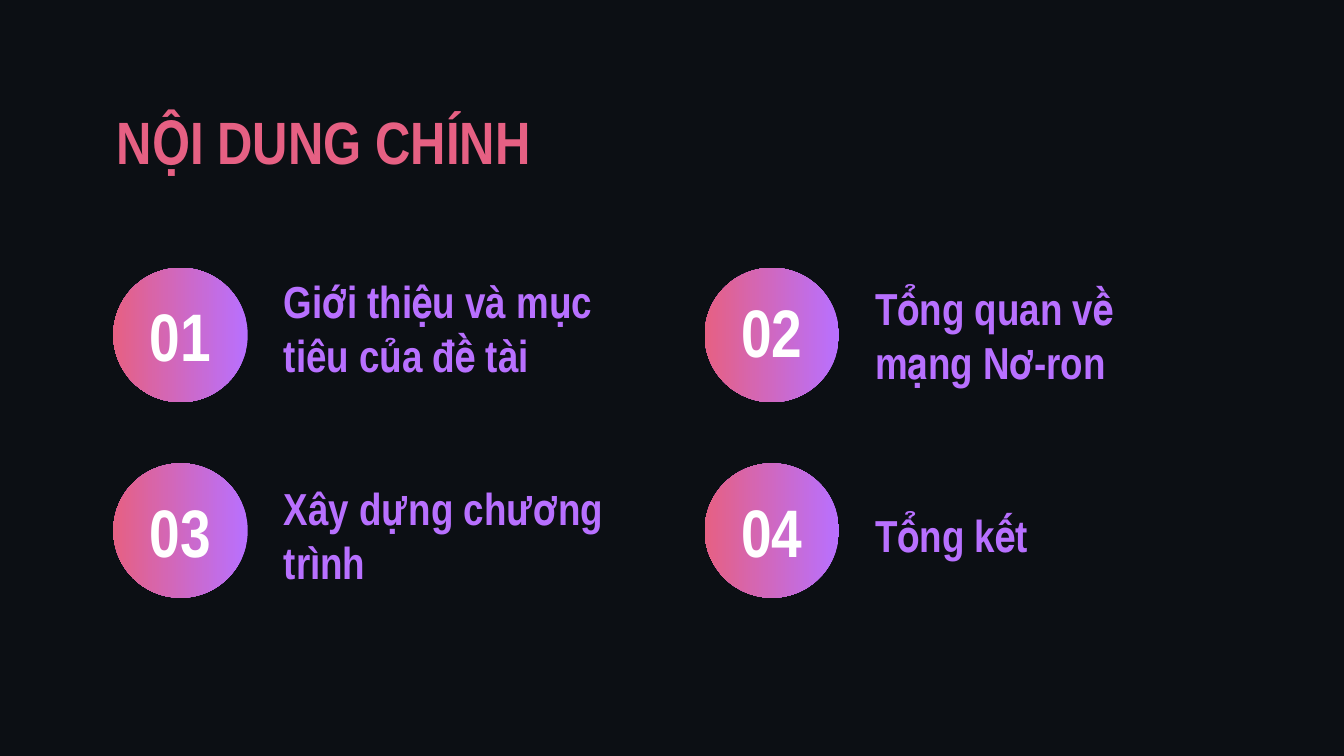
from dataclasses import dataclass

from pptx import Presentation
from pptx.dml.color import RGBColor
from pptx.enum import shapes, text
from pptx.util import Pt


@dataclass(frozen=True)
class Theme:
    font: str = "Arial Narrow"
    dark: str = "0C0F14"
    pink: str = "E66083"
    purple: str = "B870FF"
    white: str = "FFFFFF"
    title_size: int = 32
    label_size: int = 24
    number_size: int = 36


THEME = Theme()

# Grid of topics
LEFT, TOP = 60.75, 143.5
COLUMN_STEP, ROW_STEP = 316.8, 104.75
CIRCLE = 72

# Number, label, number offset, label offset and label height
TOPICS = [
    ("01", "Giới thiệu và mục tiêu của đề tài", 22.5, 4.8, 54),
    ("02", "Tổng quan về mạng Nơ-ron", 20.3, 8.9, 54),
    ("03", "Xây dựng chương trình", 22.7, 26.9, 22.3),
    ("04", "Tổng kết", 22.7, 26.9, 22.3),
]


def style_text(box, words, size, color, align=text.PP_ALIGN.LEFT, inset=7.2):
    frame = box.text_frame
    frame.text = words
    frame.word_wrap = True
    frame.auto_size = text.MSO_AUTO_SIZE.NONE
    frame.vertical_anchor = text.MSO_ANCHOR.MIDDLE
    frame.margin_left = frame.margin_right = Pt(inset)
    frame.margin_top = frame.margin_bottom = Pt(inset)
    para = frame.paragraphs[0]
    para.alignment = align
    font = para.runs[0].font
    font.name, font.size, font.bold = THEME.font, Pt(size), True
    font.color.rgb = RGBColor.from_string(color)


def add_title(page, words):
    title = page.shapes.title
    title.left, title.top, title.width, title.height = Pt(55.4), Pt(52.8), Pt(584), Pt(45.4)
    style_text(title, words, THEME.title_size, THEME.pink)


def add_text(page, left, top, width, height, *style):
    box = page.shapes.add_textbox(Pt(left), Pt(top), Pt(width), Pt(height))
    style_text(box, *style)


def add_circle(page, left, top):
    circle = page.shapes.add_shape(
        shapes.MSO_SHAPE.OVAL, Pt(left), Pt(top), Pt(CIRCLE), Pt(CIRCLE))
    circle.shadow.inherit = False
    circle.line.fill.background()
    circle.fill.gradient()
    circle.fill.gradient_angle = 180
    for stop, position, color in zip(
            circle.fill.gradient_stops, (0, 1), (THEME.purple, THEME.pink)):
        stop.position = position
        stop.color.rgb = RGBColor.from_string(color)


def add_topic(page, index, topic):
    number, label, number_drop, label_drop, label_height = topic
    row, column = divmod(index, 2)
    left, top = LEFT + column * COLUMN_STEP, TOP + row * ROW_STEP
    add_circle(page, left, top)
    add_text(page, left + 6.8, top + number_drop, 58.3, 26.6,
             number, THEME.number_size, THEME.white, text.PP_ALIGN.CENTER, 0)
    add_text(page, left + 84.2, top + label_drop, 198, label_height,
             label, THEME.label_size, THEME.purple)


def main():
    deck = Presentation()
    deck.slide_width, deck.slide_height = Pt(720), Pt(405)

    # Title-only page on a dark background
    page = deck.slides.add_slide(deck.slide_layouts[5])
    page.background.fill.solid()
    page.background.fill.fore_color.rgb = RGBColor.from_string(THEME.dark)
    add_title(page, "NỘI DUNG CHÍNH")

    # Numbered topics, row by row
    for index, topic in enumerate(TOPICS):
        add_topic(page, index, topic)

    deck.save("out.pptx")


if __name__ == "__main__":
    main()
